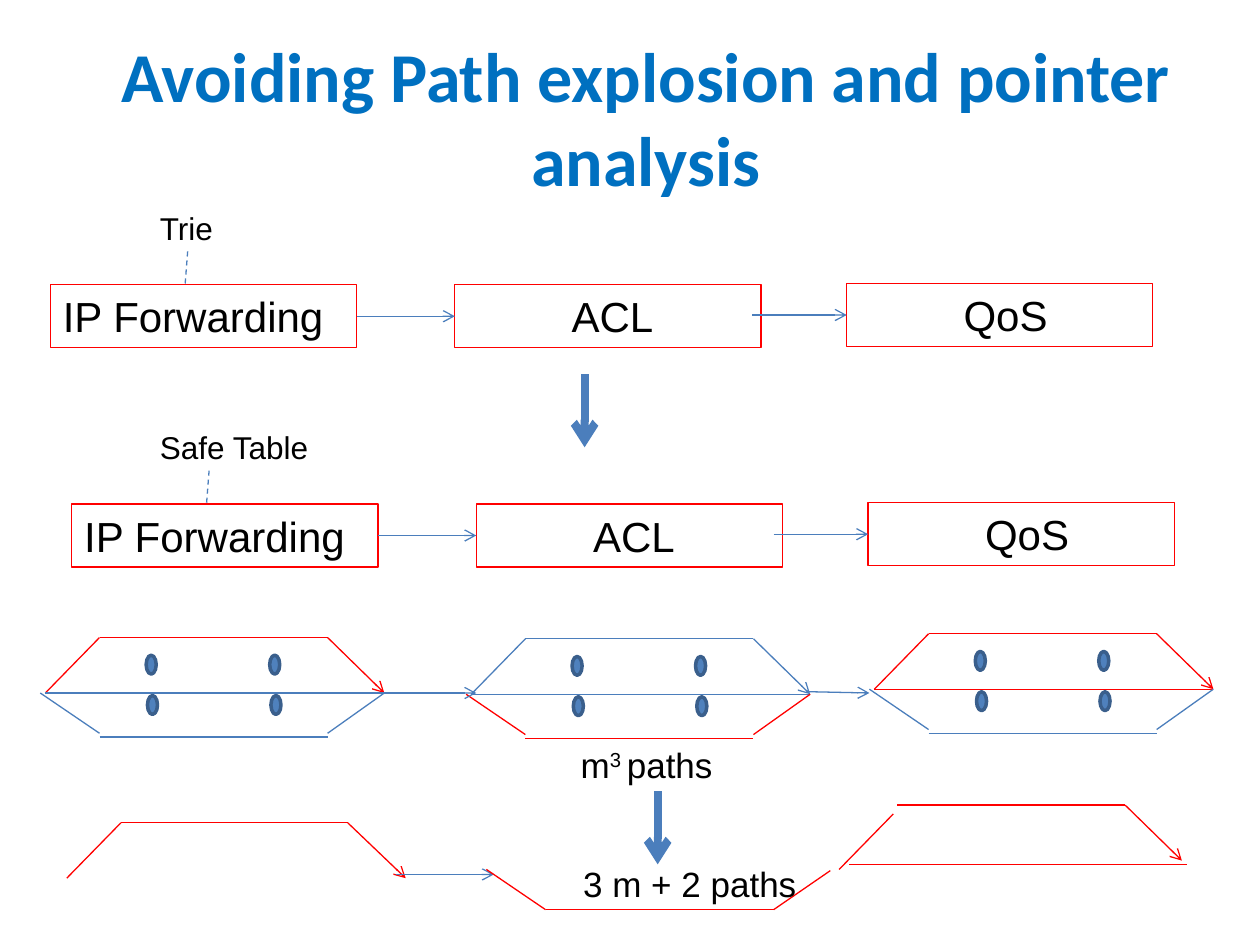
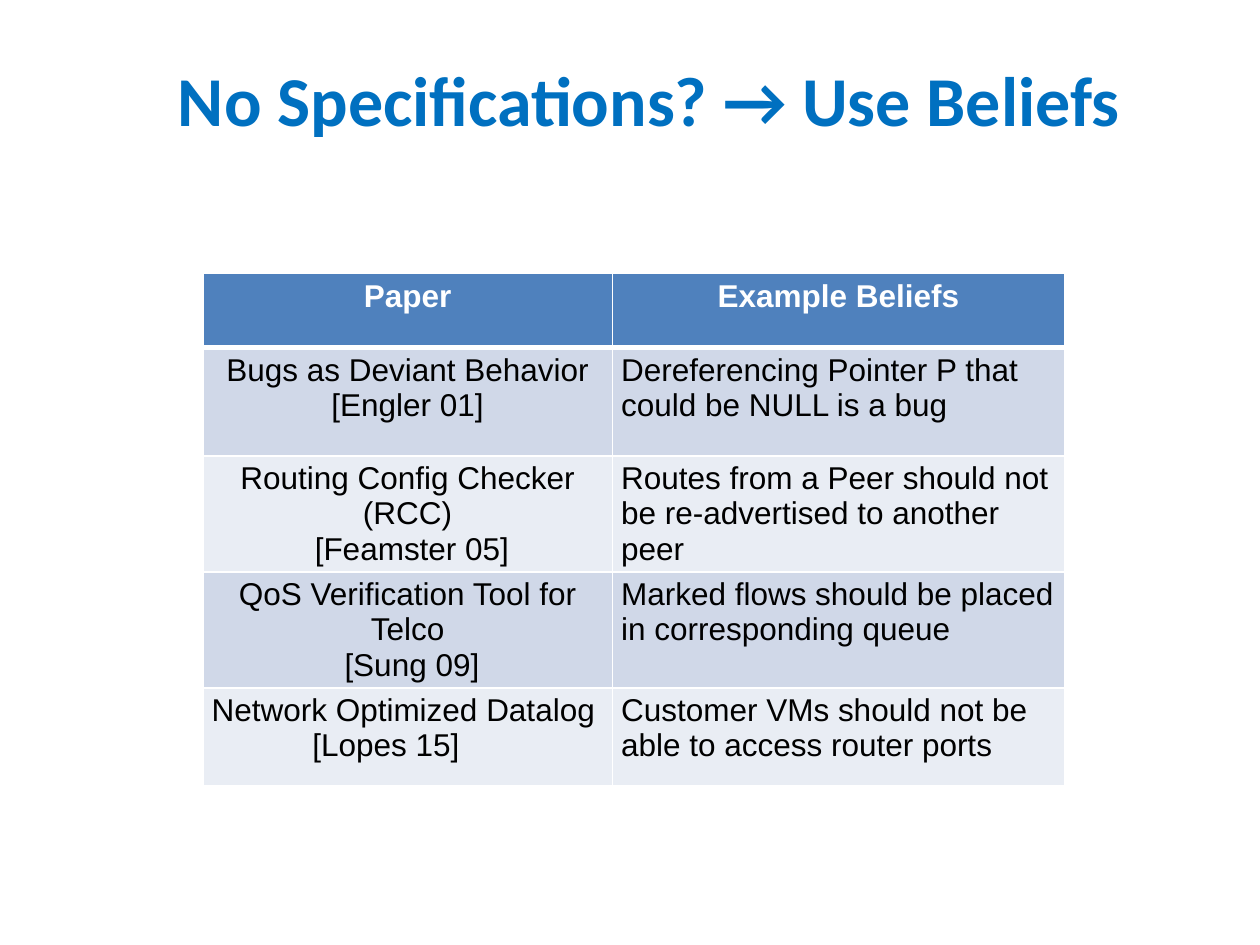
from lxml import etree
from pptx import Presentation
from pptx.dml.color import RGBColor
from pptx.enum.dml import MSO_LINE
from pptx.enum.shapes import MSO_CONNECTOR, MSO_SHAPE
from pptx.enum.text import MSO_ANCHOR, MSO_AUTO_SIZE, PP_ALIGN
from pptx.oxml.ns import qn
from pptx.util import Inches, Pt

STRAIGHT = MSO_CONNECTOR.STRAIGHT
RECTANGLE, OVAL = MSO_SHAPE.RECTANGLE, MSO_SHAPE.OVAL
LEFT, CENTER = PP_ALIGN.LEFT, PP_ALIGN.CENTER
TOP, MIDDLE = MSO_ANCHOR.TOP, MSO_ANCHOR.MIDDLE
FIT_SHAPE, NO_FIT = MSO_AUTO_SIZE.SHAPE_TO_FIT_TEXT, MSO_AUTO_SIZE.NONE
DASH = MSO_LINE.DASH
LEFT_SIDE, RIGHT_SIDE = 1, 3
TITLE_ONLY = 5

COLORS = {
    "title": "0070C0", "text": "000000", "white": "FFFFFF",
    "red": "FF0000", "blue": "4B7EBC",
    "dot": "4F81BD", "dot_edge": "3A5F8C",
    "header": "4F81BD", "odd_row": "D0D8E8", "even_row": "E9EDF4",
}
TITLE_FONT = {"name": "Calibri", "size": Pt(40), "bold": True}
BOX_FONT = {"name": "Arial", "size": Pt(24)}
NOTE_FONT = {"name": "Arial", "size": Pt(18)}
COUNT_FONT = {"name": "Arial", "size": Pt(20)}
HEADER_FONT = {**NOTE_FONT, "bold": True}
CELL_FONT = {**NOTE_FONT, "bold": False}
CELL_FORMAT = {
    "margin_left": Inches(0.07), "margin_right": Inches(0.07),
    "margin_top": Inches(0.04), "margin_bottom": Inches(0.04),
    "vertical_anchor": TOP,
}

BELIEFS = [
    (["Paper"], "Example Beliefs"),
    (["Bugs as Deviant Behavior", "[Engler 01]"],
     "Dereferencing Pointer P that could be NULL is a bug"),
    (["Routing Config Checker (RCC)", " [Feamster 05]"],
     "Routes from a Peer should not be re-advertised to another peer"),
    (["QoS Verification Tool for Telco", " [Sung 09]"],
     "Marked flows should be placed in corresponding queue"),
    (["Network Optimized Datalog", "[Lopes 15]"],
     "Customer VMs should not be able to access router ports"),
]
COLUMN_WIDTHS = [3.25, 3.59]
ROW_HEIGHTS = [0.59, 0.86, 0.78, 0.78, 0.78]


def color(name):
    return RGBColor.from_string(COLORS[name])


def set_format(target, values):
    for name, value in values.items():
        setattr(target, name, value)


def write_paragraph(paragraph, text, font, color_name="text", alignment=LEFT):
    paragraph.alignment = alignment
    run = paragraph.add_run()
    run.text = text
    set_format(run.font, font)
    run.font.color.rgb = color(color_name)
    return run


def add_title_slide(presentation, text, width, height):
    slide = presentation.slides.add_slide(presentation.slide_layouts[TITLE_ONLY])
    title = slide.shapes.title
    set_format(title, {"left": Inches(0.5), "top": Inches(0.3),
                       "width": Inches(width), "height": Inches(height)})
    set_format(title.text_frame, {"auto_size": NO_FIT, "vertical_anchor": MIDDLE})
    write_paragraph(title.text_frame.paragraphs[0], text, TITLE_FONT, "title", CENTER)
    return slide


def add_line(slide, start, end, color_name="blue", width=0.75, arrow=False, dash=None):
    line = slide.shapes.add_connector(STRAIGHT, *(Inches(v) for v in (*start, *end)))
    set_format(line.line, {"width": Pt(width), "dash_style": dash})
    line.line.color.rgb = color(color_name)
    properties = line._element.spPr
    if arrow:
        etree.SubElement(properties.find(qn("a:ln")), qn("a:tailEnd"), type="arrow")
    etree.SubElement(properties, qn("a:effectLst"))
    return line


def add_path(slide, left, top, points, color_name, arrow=False):
    """Join points, given relative to left and top; arrow ends the last line."""
    places = [(left + x, top + y) for x, y in points]
    for number, (start, end) in enumerate(zip(places, places[1:]), 2):
        add_line(slide, start, end, color_name, arrow=arrow and number == len(places))


def add_label(slide, left, top, width, height, runs, font):
    """Add an unwrapped label from (text, baseline in thousandths of a percent)."""
    label = slide.shapes.add_textbox(*(Inches(v) for v in (left, top, width, height)))
    set_format(label.text_frame, {"word_wrap": False, "auto_size": FIT_SHAPE})
    for text, baseline in runs:
        run = write_paragraph(label.text_frame.paragraphs[0], text, font)
        if baseline:
            run._r.get_or_add_rPr().set("baseline", str(baseline))


def add_stage(slide, left, top, text, alignment):
    stage = slide.shapes.add_shape(
        RECTANGLE, *(Inches(v) for v in (left, top, 2.43, 0.5)))
    stage.shadow.inherit = False
    stage.fill.background()
    stage.line.color.rgb = color("red")
    stage.line.width = Pt(0.75)
    set_format(stage.text_frame, {"word_wrap": True, "auto_size": FIT_SHAPE,
                                  "vertical_anchor": TOP})
    write_paragraph(stage.text_frame.paragraphs[0], text, BOX_FONT, alignment=alignment)
    return stage


def add_pipeline(slide, left, top, structure, label_width):
    """Draw the three router stages and the data structure of the first."""
    forwarding = add_stage(slide, left, top, "IP Forwarding", LEFT)
    acl = add_stage(slide, left + 3.21, top, " ACL", CENTER)
    qos = add_stage(slide, left + 6.32, top - 0.01, " QoS", CENTER)
    middle = top + 0.25
    to_acl = add_line(slide, (left + 2.43, middle), (left + 3.21, middle), arrow=True)
    to_acl.begin_connect(forwarding, RIGHT_SIDE)
    to_acl.end_connect(acl, LEFT_SIDE)
    to_qos = add_line(slide, (left + 5.57, middle - 0.01),
                      (left + 6.32, middle - 0.01), arrow=True)
    to_qos.end_connect(qos, LEFT_SIDE)
    add_line(slide, (left + 1.07, top - 0.01), (left + 1.09, top - 0.27), dash=DASH)
    add_label(slide, 1.17, top - 0.65, label_width, 0.4, [(structure, 0)], NOTE_FONT)


def add_dot(slide, left, top):
    dot = slide.shapes.add_shape(OVAL, *(Inches(v) for v in (left, top, 0.08, 0.15)))
    dot.shadow.inherit = False
    dot.fill.solid()
    dot.fill.fore_color.rgb = color("dot")
    dot.line.color.rgb = color("dot_edge")
    dot.line.width = Pt(2)


def add_path_bundle(slide, left, top, upper, middle, lower):
    """Draw the paths through one stage, in the three colours given."""
    add_path(slide, left, top, [(0, 0.44), (0.43, 0), (2.24, 0), (2.69, 0.44)],
             upper, arrow=True)
    add_path(slide, left, top, [(0, 0.44), (2.69, 0.44)], middle)
    for points in ([(-0.04, 0.44), (0.43, 0.76)], [(0.43, 0.79), (2.24, 0.79)],
                   [(2.24, 0.76), (2.69, 0.44)]):
        add_path(slide, left, top, points, lower)
    for row in range(2):
        for column in range(2):
            add_dot(slide, left + 0.8 + 0.98 * column + 0.01 * row,
                    top + 0.14 + 0.32 * row)


def add_all_paths(slide, left, top):
    add_path_bundle(slide, left, top, "red", "blue", "blue")
    add_path_bundle(slide, left + 3.38, top + 0.01, "blue", "blue", "red")
    add_path_bundle(slide, left + 6.58, top - 0.03, "red", "red", "blue")
    add_path(slide, left, top, [(2.64, 0.44), (3.42, 0.44)], "blue", arrow=True)
    add_path(slide, left, top, [(6.06, 0.43), (6.54, 0.44)], "blue", arrow=True)
    add_label(slide, left + 4.15, top + 0.79, 1.28, 0.44,
              [("m", 0), ("3 ", 30000), ("paths", 0)], COUNT_FONT)


def add_chosen_paths(slide, left, top):
    """Draw the single path kept in each stage."""
    add_path(slide, left, top, [(0, 0.44), (0.43, 0), (2.23, 0), (2.69, 0.44)],
             "red", arrow=True)
    add_path(slide, left, top, [(2.61, 0.41), (3.39, 0.41)], "blue", arrow=True)
    add_path(slide, left, top,
             [(3.33, 0.37), (3.8, 0.69), (5.61, 0.69), (6.06, 0.38)], "red")
    add_path(slide, left, top, [(6.13, 0.37), (6.56, -0.07)], "red")
    add_path(slide, left, top, [(6.59, -0.14), (8.4, -0.14), (8.85, 0.3)],
             "red", arrow=True)
    add_path(slide, left, top, [(6.21, 0.33), (8.89, 0.33)], "red")
    add_label(slide, left + 4, top + 0.27, 1.9, 0.44, [("3 m + 2 paths", 0)], COUNT_FONT)


def add_down_arrow(slide, left, top):
    add_line(slide, (left, top), (left, top + 0.58), width=4.5, arrow=True)


def build_path_slide(presentation):
    slide = add_title_slide(
        presentation, "Avoiding Path explosion and pointer analysis", 9.25, 1.25)
    add_pipeline(slide, 0.4, 2.26, "Trie", 0.63)
    add_pipeline(slide, 0.57, 4, "Safe Table", 1.39)
    add_down_arrow(slide, 4.64, 2.97)
    add_all_paths(slide, 0.36, 5.06)
    add_chosen_paths(slide, 0.53, 6.53)
    add_down_arrow(slide, 5.22, 6.28)


def set_borders(cell, is_header, is_below_header):
    """Draw white cell borders, heavier between the header and the body."""
    properties = cell._tc.get_or_add_tcPr()
    widths = {"L": 1, "R": 1, "T": 3 if is_below_header else 1,
              "B": 3 if is_header else 1}
    for index, (side, width) in enumerate(widths.items()):
        border = etree.Element(qn(f"a:ln{side}"), w=str(Pt(width)))
        fill = etree.SubElement(border, qn("a:solidFill"))
        etree.SubElement(fill, qn("a:srgbClr"), val=COLORS["white"])
        properties.insert(index, border)


def write_cell(cell, lines, row, alignment):
    set_format(cell, CELL_FORMAT)
    cell.fill.solid()
    row_color = "header" if row == 0 else "odd_row" if row % 2 else "even_row"
    cell.fill.fore_color.rgb = color(row_color)
    set_borders(cell, row == 0, row == 1)
    font, text_color = (CELL_FONT, "text") if row else (HEADER_FONT, "white")
    for index, line in enumerate(lines):
        frame = cell.text_frame
        paragraph = frame.add_paragraph() if index else frame.paragraphs[0]
        write_paragraph(paragraph, line, font, text_color, alignment)


def add_belief_table(slide, left, top):
    frame = slide.shapes.add_table(
        len(BELIEFS), len(COLUMN_WIDTHS), Inches(left), Inches(top),
        Inches(sum(COLUMN_WIDTHS)), Inches(sum(ROW_HEIGHTS)))
    table = frame.table
    for column, width in zip(table.columns, COLUMN_WIDTHS):
        column.width = Inches(width)
    for row, height in zip(table.rows, ROW_HEIGHTS):
        row.height = Inches(height)
    for row, (paper, belief) in enumerate(BELIEFS):
        write_cell(table.cell(row, 0), paper, row, CENTER)
        write_cell(table.cell(row, 1), [belief], row, LEFT if row else CENTER)
    name, citation = table.cell(len(BELIEFS) - 1, 0).text_frame.paragraphs
    name.alignment = citation.alignment = LEFT
    citation._p.get_or_add_pPr().set("marL", str(Inches(0.8)))


def build_belief_slide(presentation):
    slide = add_title_slide(presentation, "No Specifications? → Use Beliefs", 9.3, 0.97)
    add_belief_table(slide, 1.61, 2.17)


def main():
    presentation = Presentation()
    presentation.slide_width = Inches(10)
    presentation.slide_height = Inches(7.5)
    build_path_slide(presentation)
    build_belief_slide(presentation)
    presentation.save("out.pptx")


if __name__ == "__main__":
    main()
